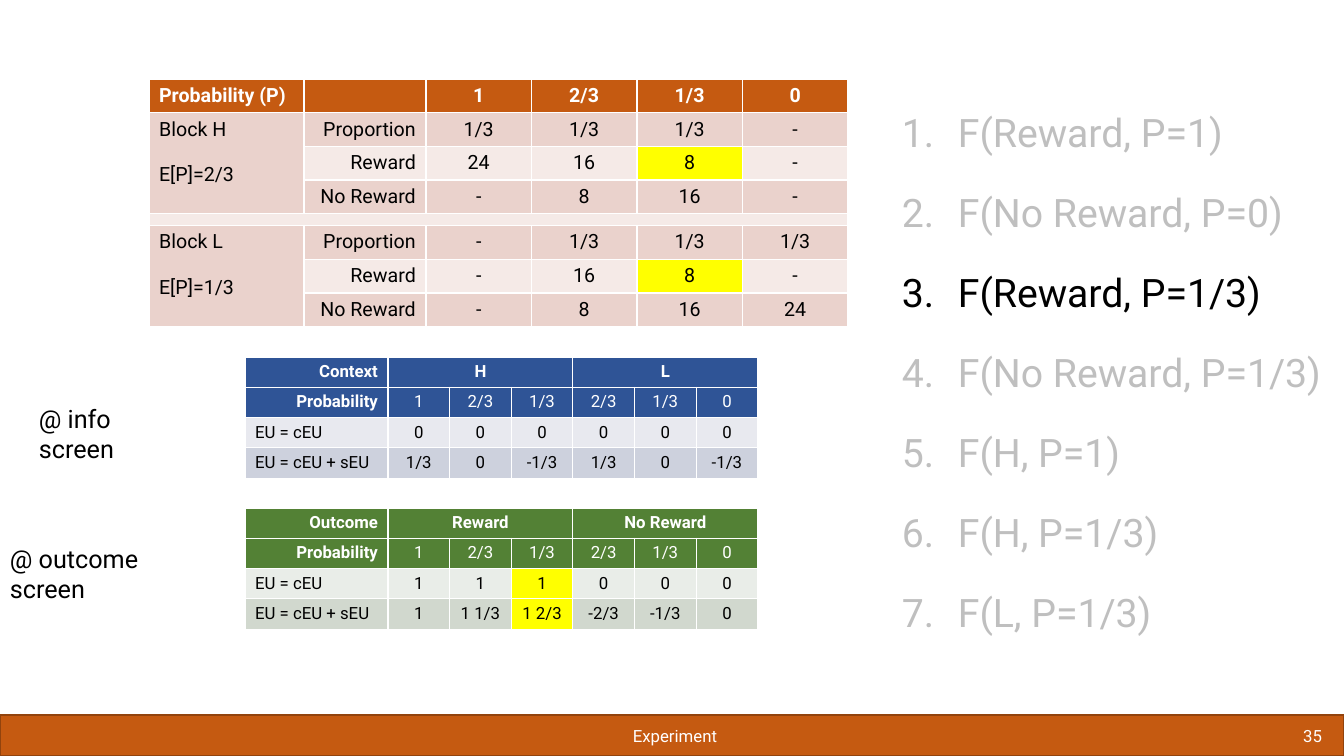
from collections import namedtuple

from lxml import etree
from pptx import Presentation
from pptx.dml.color import RGBColor
from pptx.enum.shapes import MSO_SHAPE
from pptx.enum.text import MSO_ANCHOR, PP_ALIGN
from pptx.oxml.ns import qn
from pptx.util import Pt

EMU_PER_PX = 914400 / 100.8
BLANK_LAYOUT = 6
RECTANGLE = MSO_SHAPE.RECTANGLE
TOP, MIDDLE = MSO_ANCHOR.TOP, MSO_ANCHOR.MIDDLE
ALIGN = {"l": PP_ALIGN.LEFT, "c": PP_ALIGN.CENTER, "r": PP_ALIGN.RIGHT}
BLACK, WHITE, GREY, YELLOW = "000000", "FFFFFF", "BFBFBF", "FFFF00"
ORANGE, BLUE, GREEN = "C55A11", "2F5496", "538135"

RowStyle = namedtuple("RowStyle", "fill color bold_columns label_aligns size height")


def px(length):
    return round(length * EMU_PER_PX)


def rgb(value):
    return RGBColor.from_string(value)


def assign(target, **values):
    for name, value in values.items():
        setattr(target, name, value)


class SlideBuilder:
    """Draws styled elements on one slide, with lengths in px."""

    font_name = "Roboto"

    def __init__(self, presentation):
        self.slide = presentation.slides.add_slide(presentation.slide_layouts[BLANK_LAYOUT])

    def format(self, paragraph, size, color, align="l", bold=False, **spacing):
        assign(paragraph, alignment=ALIGN[align], **spacing)
        for run in paragraph.runs:
            assign(run.font, name=self.font_name, size=Pt(size), bold=bold)
            run.font.color.rgb = rgb(color)

    def bar(self, left, top, width, height, fill, line):
        shape = self.slide.shapes.add_shape(RECTANGLE, px(left), px(top), px(width), px(height))
        shape.shadow.inherit = False
        shape.fill.solid()
        shape.fill.fore_color.rgb = rgb(fill)
        shape.line.color.rgb = rgb(line)
        shape.line.width = Pt(1)

    def box(self, left, top, width, height, anchor=TOP):
        shape = self.slide.shapes.add_textbox(px(left), px(top), px(width), px(height))
        assign(shape.text_frame, word_wrap=True, vertical_anchor=anchor)
        return shape.text_frame

    def text(self, left, top, width, height, text, size, color, align="l", anchor=TOP):
        frame = self.box(left, top, width, height, anchor)
        frame.text = text
        self.format(frame.paragraphs[0], size, color, align)

    def numbered_list(self, left, top, width, height, items, active, size, indent):
        frame = self.box(left, top, width, height)
        frame.text = "\n".join(items)
        for index, paragraph in enumerate(frame.paragraphs):
            properties = paragraph._p.get_or_add_pPr()
            properties.set("marL", str(px(indent)))
            properties.set("indent", str(-px(indent)))
            etree.SubElement(properties, qn("a:buFont"), typeface="+mj-lt")
            etree.SubElement(properties, qn("a:buAutoNum"), type="arabicPeriod")
            color = BLACK if items[index] == active else GREY
            self.format(paragraph, size, color, line_spacing=1.4,
                        space_before=Pt(10 if index else 0))

    def table(self, left, top, width, label_widths, rows, merges, highlights):
        column_count = len(rows[0][1])
        value_width = (width - sum(label_widths)) / (column_count - len(label_widths))
        widths = label_widths + [value_width] * (column_count - len(label_widths))
        height = sum(style.height for style, _ in rows)
        table = self.slide.shapes.add_table(
            len(rows), column_count, px(left), px(top), px(width), px(height)).table
        for column, column_width in zip(table.columns, widths):
            column.width = px(column_width)
        for row_index, (style, values) in enumerate(rows):
            table.rows[row_index].height = px(style.height)
            aligns = style.label_aligns.ljust(column_count, "c")
            for column_index, value in enumerate(values):
                cell = table.cell(row_index, column_index)
                fill = YELLOW if (row_index, column_index) in highlights else style.fill
                cell.fill.solid()
                cell.fill.fore_color.rgb = rgb(fill)
                cell.text = value
                for index, paragraph in enumerate(cell.text_frame.paragraphs):
                    self.format(paragraph, style.size, style.color, aligns[column_index],
                                column_index < style.bold_columns,
                                space_before=Pt(16 if index else 0))
                    etree.SubElement(paragraph._p, qn("a:endParaRPr"), sz=str(style.size * 100))
        for first_row, first_column, last_row, last_column in merges:
            table.cell(first_row, first_column).merge(table.cell(last_row, last_column))

    def utility_table(self, top, dark, pale, medium, title, groups, values, highlights=()):
        first, second = groups
        header = RowStyle(dark, WHITE, 7, "r", 12, 30)
        rows = [
            (header, [title, first, "", "", second, "", ""]),
            (header._replace(bold_columns=1),
             ["Probability", "1", "2/3", "1/3", "2/3", "1/3", "0"]),
            (RowStyle(pale, BLACK, 0, "l", 12, 30), ["EU = cEU"] + values[0]),
            (RowStyle(medium, BLACK, 0, "l", 12, 30), ["EU = cEU + sEU"] + values[1]),
        ]
        self.table(245, top, 513, [143], rows, [(0, 1, 0, 3), (0, 4, 0, 6)], highlights)


def main():
    presentation = Presentation()
    assign(presentation, slide_width=px(1344), slide_height=px(756))
    builder = SlideBuilder(presentation)

    builder.bar(0, 715, 1344, 41, ORANGE, "92430D")
    builder.text(226, 716, 898, 40, "Experiment", 12, WHITE, "c", MIDDLE)
    builder.text(1124, 716, 208, 40, "35", 12, WHITE, "r", MIDDLE)

    builder.utility_table(
        357, BLUE, "E8E9EF", "CDD1DD", "Context", ("H", "L"),
        [["0"] * 6, ["1/3", "0", "-1/3", "1/3", "0", "-1/3"]])
    builder.utility_table(
        508, GREEN, "E9EDE8", "D1D8CE", "Outcome", ("Reward", "No Reward"),
        [["1"] * 3 + ["0"] * 3, ["1", "1 1/3", "1 2/3", "-2/3", "-1/3", "0"]],
        [(2, 3), (3, 3)])

    header = RowStyle(ORANGE, WHITE, 6, "l", 14, 33)
    shaded = RowStyle("EAD2CC", BLACK, 0, "lr", 14, 33)
    light = shaded._replace(fill="F5EAE7")
    gap = light._replace(size=1, height=12)
    block_rows = [
        (header, ["Probability (P)", "", "1", "2/3", "1/3", "0"]),
        (shaded, ["Block H\nE[P]=2/3", "Proportion", "1/3", "1/3", "1/3", "-"]),
        (light, ["", "Reward", "24", "16", "8", "-"]),
        (shaded, ["", "No Reward", "-", "8", "16", "-"]),
        (gap, [""] * 6),
        (shaded, ["Block L\nE[P]=1/3", "Proportion", "-", "1/3", "1/3", "1/3"]),
        (light, ["", "Reward", "-", "16", "8", "-"]),
        (shaded, ["", "No Reward", "-", "8", "16", "24"]),
    ]
    builder.table(149, 79, 699, [155, 122], block_rows,
                  [(1, 0, 3, 0), (4, 0, 4, 5), (5, 0, 7, 0)], [(2, 4), (6, 4)])

    builder.text(0, 538, 165, 70, "@ outcome screen", 18, BLACK)
    builder.text(29, 398, 165, 70, "@ info screen", 18, BLACK)

    contrasts = ["F(Reward, P=1)", "F(No Reward, P=0)", "F(Reward, P=1/3)",
                 "F(No Reward, P=1/3)", "F(H, P=1)", "F(H, P=1/3)", "F(L, P=1/3)"]
    builder.numbered_list(892, 85, 452, 562, contrasts, "F(Reward, P=1/3)", 28, 56)

    presentation.save("out.pptx")


if __name__ == "__main__":
    main()
